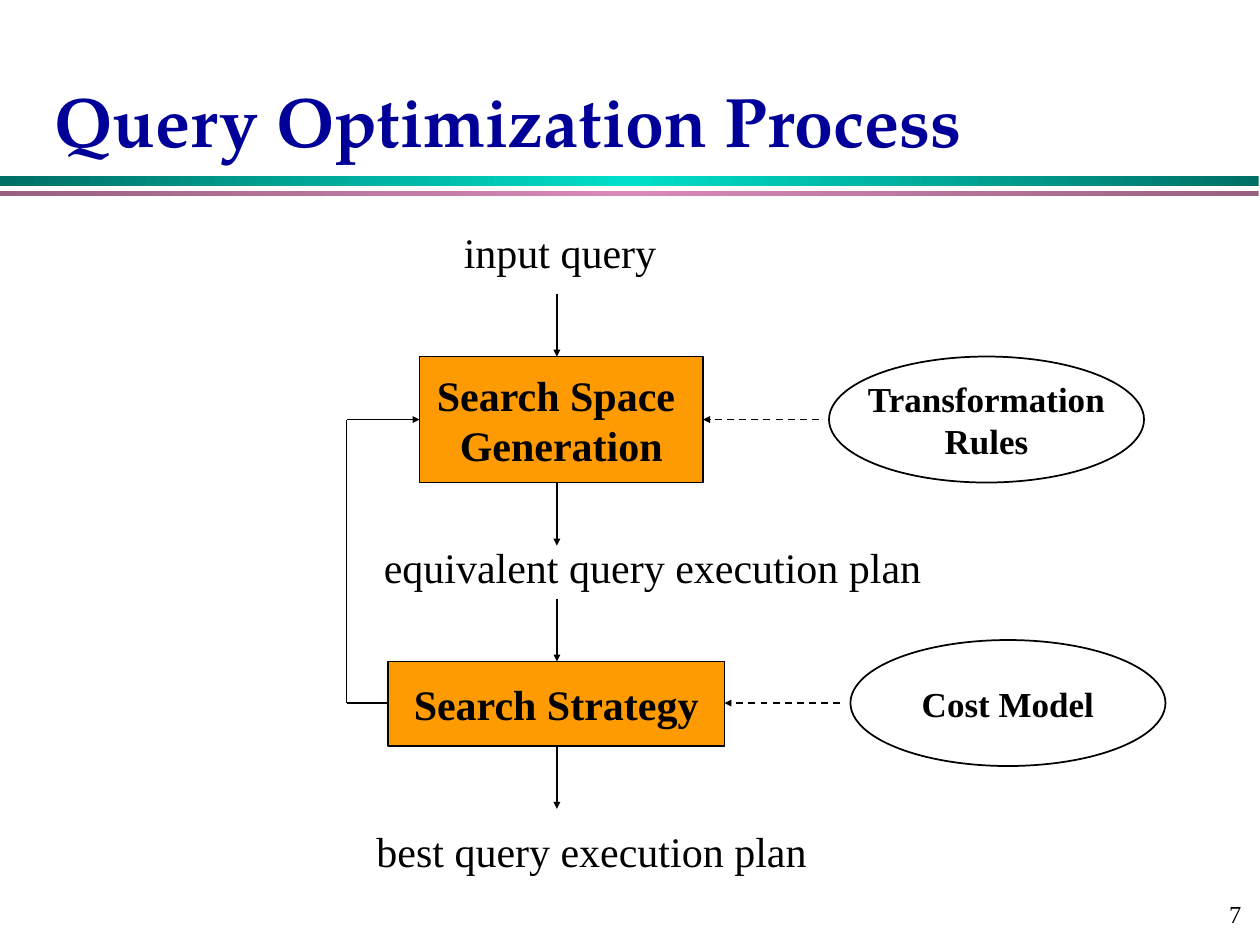
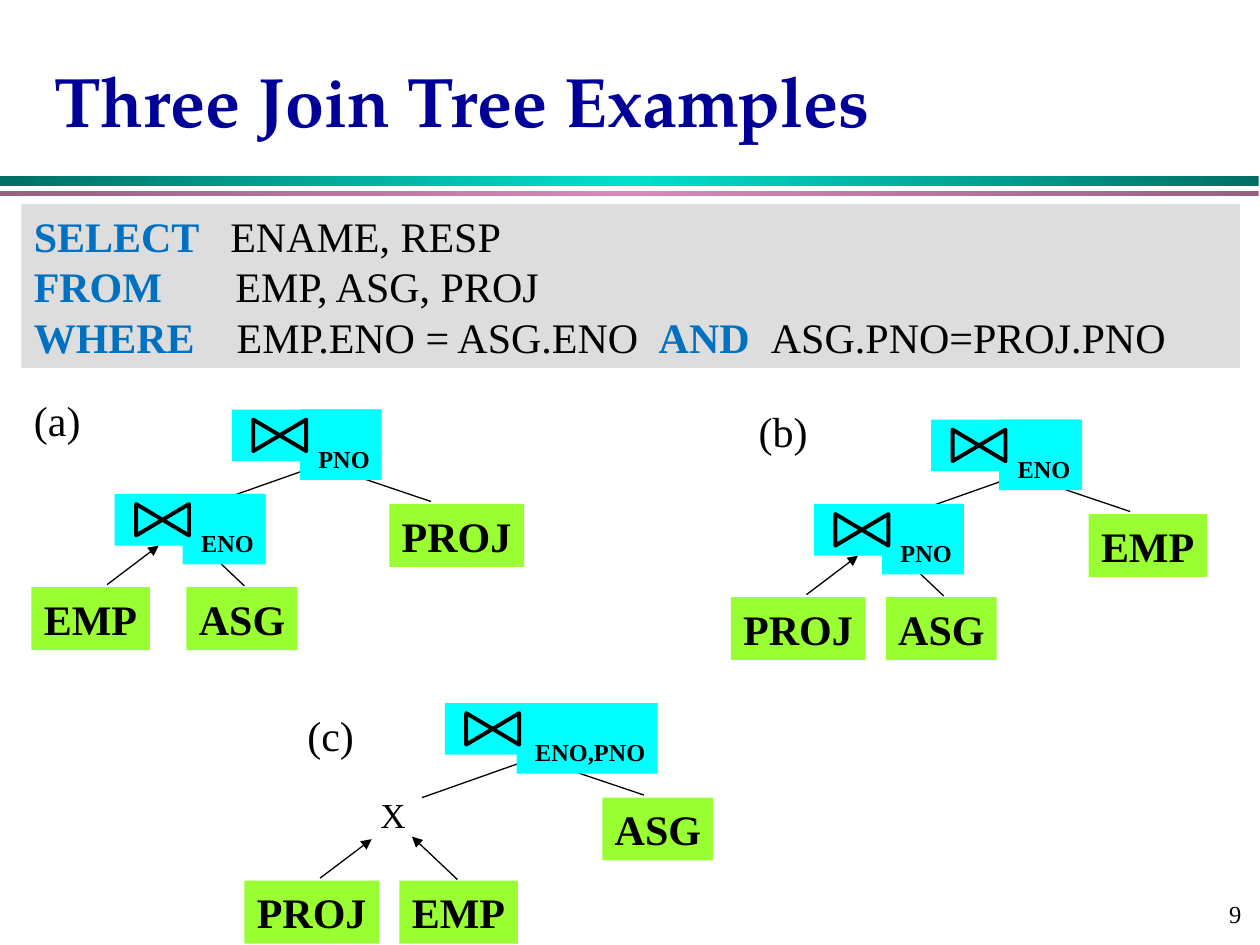
from copy import deepcopy
from dataclasses import dataclass, replace

from lxml.etree import SubElement
from pptx import Presentation
from pptx.dml.color import RGBColor
from pptx.enum.dml import MSO_LINE_DASH_STYLE as Dash
from pptx.enum.shapes import MSO_CONNECTOR_TYPE as Link, MSO_SHAPE as Kind
from pptx.enum.text import MSO_ANCHOR as Anchor, MSO_AUTO_SIZE as Fit, PP_ALIGN as Align
from pptx.oxml.ns import qn
from pptx.util import Emu, Pt

PX = 9144  # EMU in one px, 100 px to the inch
HEX = {
    "title": "000099", "ink": "000000", "paper": "FFFFFF", "step": "FE9B03",
    "code": "DDDDDD", "key": "0070C0", "leaf": "99FF33", "join": "00FFFF",
    "teal": "006F65", "aqua": "00DFCA", "plum": "976080", "pink": "D989B8",
}


@dataclass(frozen=True)
class Look:
    size: int = 24
    bold: bool = False
    color: str = "ink"
    font: str = "Times New Roman"
    base: int = 0


@dataclass(frozen=True)
class Box:
    x: int
    y: int
    w: int
    h: int


@dataclass(frozen=True)
class Bit:
    text: str
    look: Look


@dataclass(frozen=True)
class Band:
    box: Box
    edge: str
    mid: str


@dataclass(frozen=True)
class Node:
    box: Box
    rows: tuple[str, ...]
    look: Look
    kind: Kind = Kind.RECTANGLE
    fill: str = "step"


@dataclass(frozen=True)
class Arrow:
    x1: int
    y1: int
    x2: int
    y2: int
    head: bool = True
    dash: bool = False


@dataclass(frozen=True)
class Tree:
    name: str
    tag: Box
    x: int
    y: int
    top: str
    low: str  # empty for a cross product
    leaves: tuple[str, str, str]  # right, lower left, lower right


PLAIN = Look()
BOLD = Look(bold=True)
SMALL = Look(20, bold=True)
SUB = Look(bold=True, base=-25000)
KEY = Look(bold=True, color="key")
TITLE = Look(40, True, "title", "TeX Gyre Pagella")

BANDS = (
    Band(Box(0, 140, 999, 8), "teal", "aqua"),
    Band(Box(0, 152, 999, 4), "plum", "pink"),
)

# Narrower insets keep tight one-line texts from wrapping
INSET = 7
TIGHT = {Align.CENTER: ("margin_left", "margin_right"), Align.LEFT: ("margin_right",)}

# Optimization process
MID = 442
LABELS = (
    (Box(358, 175, 173, 50), "input query"),
    (Box(295, 425, 446, 50), "equivalent query execution plan"),
    (Box(289, 650, 361, 50), "best query execution plan"),
)
NODES = (
    Node(Box(333, 283, 225, 100), ("Search Space ", "Generation"), BOLD),
    Node(Box(308, 525, 267, 67), ("Search Strategy",), BOLD),
    Node(Box(658, 283, 250, 100), ("Transformation", "Rules"), SMALL, Kind.OVAL, "paper"),
    Node(Box(675, 508, 250, 100), ("Cost Model",), SMALL, Kind.OVAL, "paper"),
)
FLOWS = tuple(Arrow(MID, y, MID, y + 50) for y in (233, 383, 475, 592)) + (
    Arrow(308, 558, 275, 558, head=False),
    Arrow(275, 558, 275, 333, head=False),
    Arrow(275, 333, 333, 333),
    Arrow(650, 333, 558, 333, dash=True),
    Arrow(667, 558, 575, 558, dash=True),
)

# Join trees: offsets are taken from the top join
QUERY = (
    (Bit("SELECT\t", KEY), Bit("ENAME, RESP", PLAIN)),
    (Bit("FROM\t", KEY), Bit("EMP, ASG, PROJ", PLAIN)),
    (Bit("WHERE\t", KEY), Bit("EMP.ENO = ASG.ENO\t", PLAIN),
     Bit("AND\t", KEY), Bit("ASG.PNO=PROJ.PNO", PLAIN)),
)
STOPS = ((156,), (160,), (161, 496, 585))
WIDE = {"EMP": 94, "PROJ": 107, "ASG": 88, "ENO": 66, "PNO": 65, "ENO,PNO": 112}
SPOTS = ((125, 75), (-159, 141), (-36, 141))
EDGES = (
    Arrow(-18, 75, 67, 45), Arrow(158, 73, 84, 48),
    Arrow(-99, 139, -58, 108), Arrow(10, 140, -26, 106),
)
TREES = (
    Tree("(a)", Box(17, 308, 57, 50), 184, 325, "PNO", "ENO", ("PROJ", "EMP", "ASG")),
    Tree("(b)", Box(592, 317, 59, 50), 739, 333, "ENO", "PNO", ("EMP", "PROJ", "ASG")),
    Tree("(c)", Box(234, 558, 57, 50), 353, 558, "ENO,PNO", "", ("ASG", "PROJ", "EMP")),
)


def rgb(name: str) -> RGBColor:
    return RGBColor.from_string(HEX[name])


def emu(box: Box) -> tuple[Emu, ...]:
    return tuple(Emu(n * PX) for n in (box.x, box.y, box.w, box.h))


def write(frame, rows, align=Align.CENTER, anchor=Anchor.TOP, wrap=False) -> None:
    """Fill a text frame run by run."""
    frame.word_wrap, frame.auto_size = wrap, Fit.NONE
    frame.vertical_anchor = anchor
    for side in () if wrap else TIGHT.get(align, ()):
        setattr(frame, side, Emu(INSET * PX))
    for i, row in enumerate(rows):
        para = frame.add_paragraph() if i else frame.paragraphs[0]
        para.alignment = align
        for bit in row:
            run, look = para.add_run(), bit.look
            run.text = bit.text
            font = run.font
            font.name, font.size, font.bold = look.font, Pt(look.size), look.bold
            font.color.rgb = rgb(look.color)
            if look.base:
                run._r.get_or_add_rPr().set("baseline", str(look.base))


def label(slide, box: Box, text: str, look: Look = PLAIN, **how) -> None:
    frame = slide.shapes.add_textbox(*emu(box)).text_frame
    write(frame, [[Bit(text, look)]], **how)


def paint(shape, fill: str, line: float = 0) -> None:
    shape.shadow.inherit = False
    shape.fill.solid()
    shape.fill.fore_color.rgb = rgb(fill)
    if line:
        shape.line.color.rgb = rgb("ink")
        shape.line.width = Pt(line)
    else:
        shape.line.fill.background()


def block(slide, box: Box, fill: str, kind=Kind.RECTANGLE, line: float = 0):
    shape = slide.shapes.add_shape(kind, *emu(box))
    paint(shape, fill, line)
    return shape


def chip(slide, box: Box, text: str, look: Look, fill: str) -> None:
    """Draw a filled box around one short text."""
    write(block(slide, box, fill).text_frame, [[Bit(text, look)]], Align.LEFT)


def draw(slide, arrow: Arrow, width: float, tip: str) -> None:
    ends = (Emu(n * PX) for n in (arrow.x1, arrow.y1, arrow.x2, arrow.y2))
    link = slide.shapes.add_connector(Link.STRAIGHT, *ends)
    link.line.color.rgb = rgb("ink")
    link.line.width = Pt(width)
    if arrow.dash:
        link.line.dash_style = Dash.DASH
    props = link._element.spPr
    if arrow.head:
        SubElement(props.find(qn("a:ln")), qn("a:tailEnd"), type="triangle", w=tip, len=tip)
    SubElement(props, qn("a:effectLst"))


def stripe(slide, band: Band) -> None:
    shape = block(slide, band.box, band.edge)
    shape.fill.gradient()
    shape.fill.gradient_angle = 0
    stops = shape._element.spPr.find(qn("a:gradFill")).find(qn("a:gsLst"))
    stops.append(deepcopy(stops[0]))
    names = (band.edge, band.mid, band.edge)
    for stop, spot, name in zip(shape.fill.gradient_stops, (0, 0.5, 1), names):
        stop.position = spot
        stop.color.rgb = rgb(name)


def start(deck, title: str, page: int, anchor):
    """Add a slide with the shared bands, title and page number."""
    slide = deck.slides.add_slide(deck.slide_layouts[5])
    for band in BANDS:
        stripe(slide, band)
    head = slide.shapes.title
    head.left, head.top, head.width, head.height = emu(Box(33, 25, 925, 108))
    write(head.text_frame, [[Bit(title, TITLE)]], Align.LEFT, anchor, wrap=True)
    label(slide, Box(792, 700, 208, 50), f"{page} ", Look(14),
          align=Align.RIGHT, anchor=Anchor.MIDDLE)
    return slide


def join(slide, x: int, y: int, text: str) -> None:
    """Draw a bow tie with its join attribute."""
    block(slide, Box(x, y, 118, 41), "join")
    shift = 57 if "," in text else 54
    chip(slide, Box(x + shift, y, WIDE[text], 56), f" {text}", SUB, "join")
    left, top, right, base = x + 17, y + 8, x + 59, y + 33
    pen = slide.shapes.build_freeform(left, top, scale=PX)
    pen.add_line_segments([(left, base), (right, top), (right, base)], close=True)
    paint(pen.convert_to_shape(), "join", 2.25)


def plant(slide, tree: Tree) -> None:
    x, y = tree.x, tree.y
    for edge in EDGES:
        moved = replace(edge, x1=x + edge.x1, y1=y + edge.y1, x2=x + edge.x2, y2=y + edge.y2)
        draw(slide, moved, 0.75, "med")
    join(slide, x, y, tree.top)
    if tree.low:
        join(slide, x - 93, y + 67, tree.low)
    else:
        label(slide, Box(x - 61, y + 67, 40, 44), "X", Look(20))
    for name, (dx, dy) in zip(tree.leaves, SPOTS):
        chip(slide, Box(x + dx, y + dy, WIDE[name], 50), name, BOLD, "leaf")
    label(slide, tree.tag, tree.name)


def process(deck) -> None:
    slide = start(deck, "Query Optimization Process", 7, Anchor.BOTTOM)
    for box, text in LABELS:
        label(slide, box, text)
    for node in NODES:
        shape = block(slide, node.box, node.fill, node.kind, 1)
        rows = [[Bit(text, node.look)] for text in node.rows]
        write(shape.text_frame, rows, anchor=Anchor.MIDDLE)
    for flow in FLOWS:
        draw(slide, flow, 1, "sm")


def trees(deck) -> None:
    slide = start(deck, "Three Join Tree Examples", 9, Anchor.MIDDLE)
    frame = block(slide, Box(17, 162, 967, 130), "code").text_frame
    write(frame, QUERY, Align.LEFT, wrap=True)
    for para, stops in zip(frame.paragraphs, STOPS):
        tabs = SubElement(para._p.get_or_add_pPr(), qn("a:tabLst"))
        for stop in stops:
            SubElement(tabs, qn("a:tab"), pos=str(stop * PX), algn="l")
    for tree in TREES:
        plant(slide, tree)


def main() -> None:
    deck = Presentation()
    deck.slide_width, deck.slide_height = Emu(1000 * PX), Emu(750 * PX)
    process(deck)
    trees(deck)
    deck.save("out.pptx")


if __name__ == "__main__":
    main()
